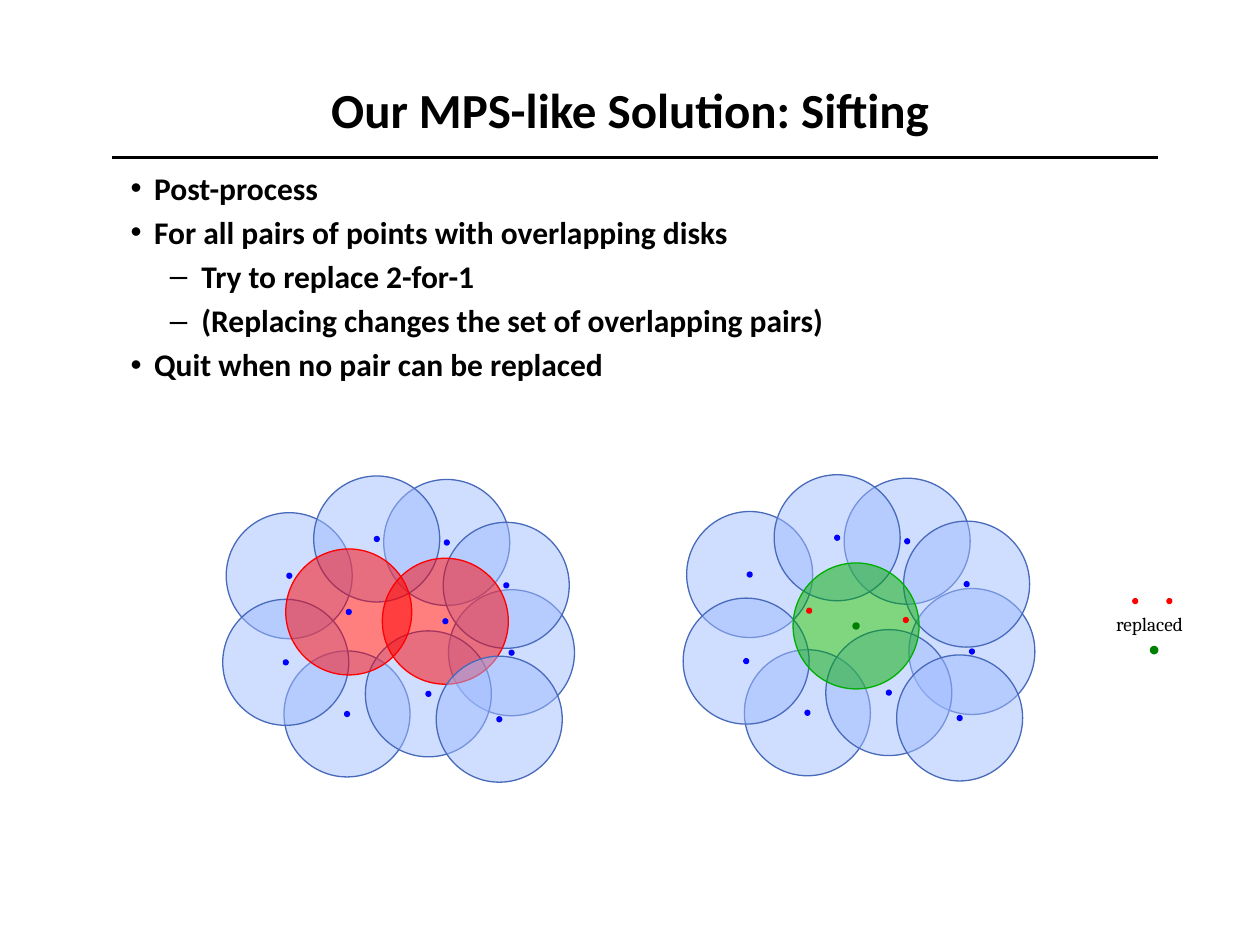
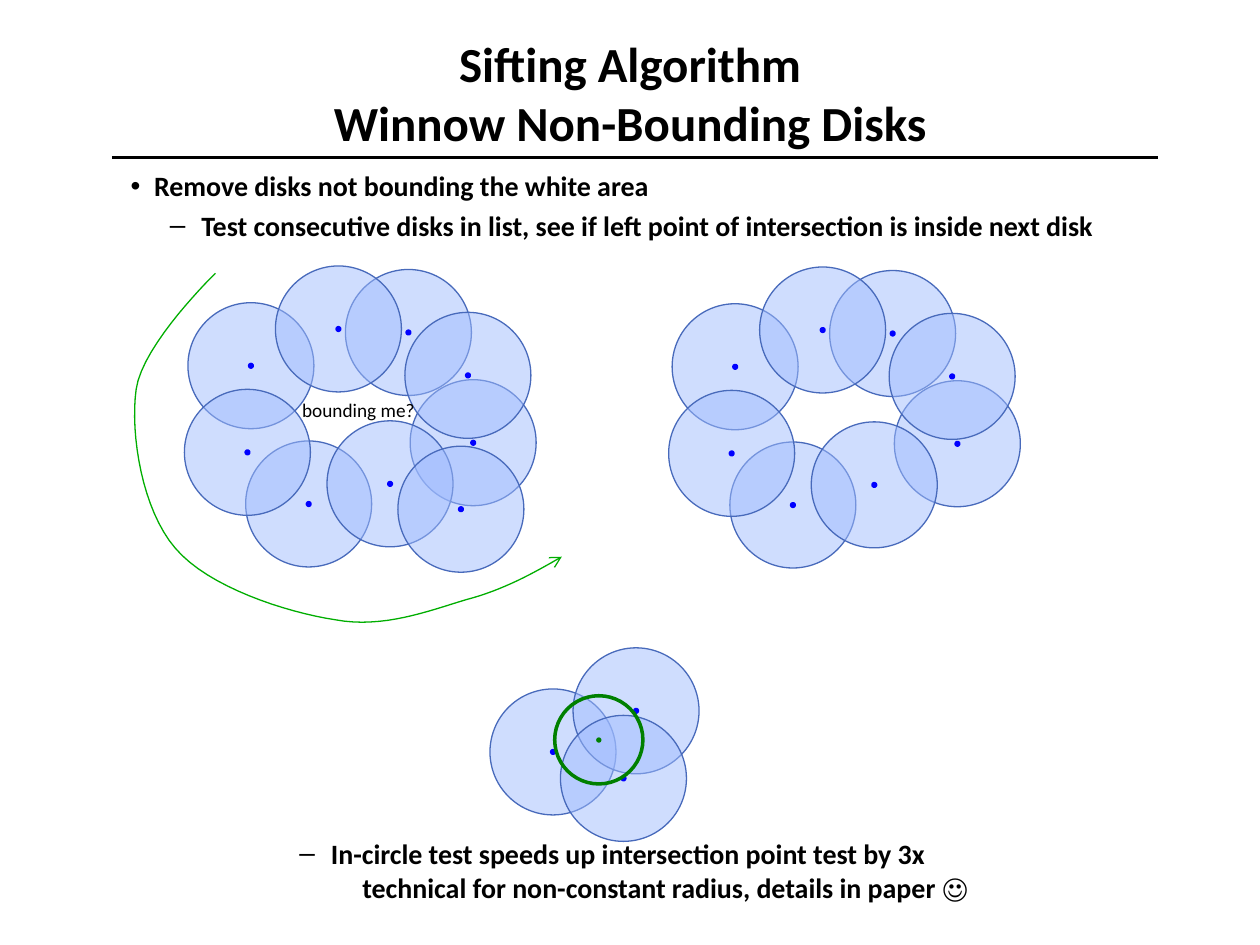
from dataclasses import dataclass
from typing import NamedTuple

from lxml.etree import SubElement
from pptx import Presentation
from pptx.dml.color import RGBColor
from pptx.enum.shapes import MSO_CONNECTOR, MSO_SHAPE
from pptx.enum.text import MSO_ANCHOR, MSO_AUTO_SIZE, PP_ALIGN
from pptx.oxml.ns import qn
from pptx.util import Pt


@dataclass(frozen=True)
class Theme:
    ink: str = "000000"
    disk: str = "A0BCFE"
    disk_edge: str = "486ABB"
    point: str = "0000FF"
    removed: str = "FF0000"
    added: str = "00AE00"
    added_point: str = "008000"
    heading_font: str = "Calibri"
    legend_font: str = "Cambria"
    title_size: float = 28
    label_size: float = 11


class Spot(NamedTuple):
    x: float
    y: float

    def shift(self, dx: float, dy: float) -> "Spot":
        return Spot(self.x + dx, self.y + dy)


class Box(NamedTuple):
    left: float
    top: float
    width: float
    height: float

    def lengths(self) -> list[Pt]:
        return [Pt(side) for side in self]


class Bullet(NamedTuple):
    text: str
    level: int = 0


class BulletStyle(NamedTuple):
    mark: str
    margin: float
    hanging: float


@dataclass(frozen=True)
class Disk:
    corner: Spot
    fill: str = "A0BCFE"
    edge: str = "486ABB"
    point: str = "0000FF"
    point_size: float = 1.5


THEME = Theme()
DIAMETER = 72
RADIUS = DIAMETER / 2
BULLET_STYLES = [BulletStyle("•", 27, 13.5), BulletStyle("–", 54, 18)]
RING = [Spot(35, 100), Spot(92, 2), Spot(2, 21), Spot(0, 70.5), Spot(129, 65),
        Spot(126, 26.5), Spot(52, 0), Spot(81.5, 88.5)]
NON_BOUNDING = Spot(122, 103)
OVERLAPPING_PAIR = [Spot(36, 41.7), Spot(91.2, 47)]
REPLACEMENT = Spot(62.8, 50.4)
SWEEP_START = Spot(321, 318.2)
SWEEP_CURVES = [
    (Spot(304.6, 327.6), Spot(288, 337), Spot(266.4, 342.7)),
    (Spot(244.8, 349.2), Spot(218.9, 359.3), Spot(191.5, 354.2)),
    (Spot(163.4, 349.9), Spot(118.8, 335.5), Spot(100.1, 313.2)),
    (Spot(81.4, 291.6), Spot(74.2, 248.4), Spot(77.8, 222.5)),
    (Spot(81.4, 196.6), Spot(123.1, 156.2), Spot(123.1, 156.2)),
]


def rgb(code: str) -> RGBColor:
    return RGBColor.from_string(code)


def set_font(paragraph, size: float, bold: bool = False,
             family: str = THEME.heading_font) -> None:
    font = paragraph.font
    font.name, font.size, font.bold = family, Pt(size), bold
    font.color.rgb = rgb(THEME.ink)


def draw_circle(shapes, center: Spot, diameter: float, edge: str, weight: float,
                fill: str | None = None, opacity: int = 100,
                preset=MSO_SHAPE.OVAL) -> None:
    corner = center.shift(-diameter / 2, -diameter / 2)
    circle = shapes.add_shape(preset, *Box(*corner, diameter, diameter).lengths())
    circle.shadow.inherit = False
    circle.line.color.rgb = rgb(edge)
    circle.line.width = Pt(weight)
    if fill is None:
        circle.fill.background()
        return
    circle.fill.solid()
    circle.fill.fore_color.rgb = rgb(fill)
    if opacity < 100:
        color = circle.fill._xPr.find(qn("a:solidFill")).find(qn("a:srgbClr"))
        SubElement(color, qn("a:alpha")).set("val", str(opacity * 1000))


def draw_point(shapes, center: Spot, color: str, size: float = 1.5) -> None:
    draw_circle(shapes, center, size, color, 2, color)


def draw_disk(shapes, disk: Disk, origin: Spot) -> None:
    center = disk.corner.shift(*origin).shift(RADIUS, RADIUS)
    draw_circle(shapes, center, DIAMETER, disk.edge, 0, disk.fill, 50,
                MSO_SHAPE.FLOWCHART_CONNECTOR)
    draw_point(shapes, center, disk.point, disk.point_size)


def draw_cluster(slide, origin: Spot, disks: list[Disk]):
    shapes = slide.shapes.add_group_shape().shapes
    for disk in disks:
        draw_disk(shapes, disk, origin)
    return shapes


def add_titled_slide(deck, title: str, box: Box):
    slide = deck.slides.add_slide(deck.slide_layouts[5])
    heading = slide.shapes.title
    heading.left, heading.top, heading.width, heading.height = box.lengths()
    frame = heading.text_frame
    frame.text = title
    frame.auto_size = MSO_AUTO_SIZE.NONE
    frame.vertical_anchor = MSO_ANCHOR.MIDDLE
    frame.paragraphs[0].alignment = PP_ALIGN.CENTER
    set_font(frame.paragraphs[0], THEME.title_size, True)
    rule = slide.shapes.add_connector(MSO_CONNECTOR.STRAIGHT, *Box(64, 90, 661.5, 90).lengths())
    rule.line.color.rgb = rgb(THEME.ink)
    rule.line.width = Pt(2)
    SubElement(rule._element.spPr, qn("a:effectLst"))
    return slide


def add_bullets(slide, box: Box, bullets: list[Bullet], size: float) -> None:
    frame = slide.shapes.add_textbox(*box.lengths()).text_frame
    frame.word_wrap = True
    for index, bullet in enumerate(bullets):
        paragraph = frame.paragraphs[0] if index == 0 else frame.add_paragraph()
        paragraph.text = bullet.text
        paragraph.level = bullet.level
        style = BULLET_STYLES[bullet.level]
        properties = paragraph._p.get_or_add_pPr()
        properties.set("marL", str(Pt(style.margin)))
        properties.set("indent", str(-Pt(style.hanging)))
        properties.set("defTabSz", str(Pt(72)))
        if index:
            paragraph.space_before = Pt(0.2 * size)
        SubElement(properties, qn("a:buFont")).set("typeface", "Arial")
        SubElement(properties, qn("a:buChar")).set("char", style.mark)
        set_font(paragraph, size, True)


def add_label(shapes, box: Box, text: str, family: str, wrap: bool, margin: float = 0) -> None:
    frame = shapes.add_textbox(*box.lengths()).text_frame
    frame.word_wrap = wrap
    paragraph = frame.paragraphs[0]
    paragraph.text = text
    paragraph._p.get_or_add_pPr().set("marL", str(Pt(margin)))
    set_font(paragraph, THEME.label_size, family=family)


def bezier(start: Spot, first: Spot, second: Spot, end: Spot, t: float) -> Spot:
    weights = ((1 - t) ** 3, 3 * t * (1 - t) ** 2, 3 * t ** 2 * (1 - t), t ** 3)
    knots = (start, first, second, end)
    return Spot(sum(w * k.x for w, k in zip(weights, knots)),
                sum(w * k.y for w, k in zip(weights, knots)))


def draw_sweep_arrow(slide, steps: int = 16) -> None:
    trail, start = [], SWEEP_START
    for first, second, end in SWEEP_CURVES:
        trail += [bezier(start, first, second, end, i / steps) for i in range(1, steps + 1)]
        start = end
    builder = slide.shapes.build_freeform(Pt(SWEEP_START.x), Pt(SWEEP_START.y))
    builder.add_line_segments([(Pt(spot.x), Pt(spot.y)) for spot in trail], close=False)
    sweep = builder.convert_to_shape()
    sweep.shadow.inherit = False
    sweep.fill.background()
    sweep.line.color.rgb = rgb(THEME.added)
    sweep.line.width = Pt(0.75)
    SubElement(sweep.line._get_or_add_ln(), qn("a:headEnd")).set("type", "arrow")


def build_sifting(deck) -> None:
    slide = add_titled_slide(deck, "Our MPS-like Solution: Sifting", Box(54, 22.3, 612, 80))
    add_bullets(slide, Box(54, 93, 612, 136), [
        Bullet("Post-process"),
        Bullet("For all pairs of points with overlapping disks"),
        Bullet("Try to replace 2-for-1", 1),
        Bullet("(Replacing changes the set of overlapping pairs)", 1),
        Bullet("Quit when no pair can be replaced"),
    ], 18)

    legend = slide.shapes.add_group_shape().shapes
    draw_point(legend, Spot(659.5, 371.5), THEME.added_point, 2.9)
    for x in (648.7, 668.2):
        draw_point(legend, Spot(x, 343.5), THEME.removed)
    add_label(legend, Box(630.7, 346.3, 52.6, 20.9), "replaced", THEME.legend_font, False)

    ring = [Disk(corner) for corner in RING]
    last = Disk(NON_BOUNDING)
    pair = [Disk(corner, THEME.removed, THEME.removed) for corner in OVERLAPPING_PAIR]
    draw_cluster(slide, Spot(127.3, 272), ring + pair + [last])

    origin = Spot(390.4, 271.3)
    replacement = Disk(REPLACEMENT, THEME.added, THEME.added, THEME.added_point, 2.2)
    after = draw_cluster(slide, origin, ring + [replacement])
    for corner in OVERLAPPING_PAIR:
        draw_point(after, corner.shift(*origin).shift(RADIUS, RADIUS), THEME.removed)
    draw_disk(after, last, origin)


def build_winnowing(deck) -> None:
    slide = add_titled_slide(deck, "Sifting Algorithm\vWinnow Non-Bounding Disks",
                             Box(54, 4.3, 612, 97.2))
    add_bullets(slide, Box(54, 93, 612, 57.6), [
        Bullet("Remove disks not bounding the white area"),
        Bullet("Test consecutive disks in list, see if left point of intersection "
               "is inside next disk", 1),
    ], 16)

    ring = [Disk(corner) for corner in RING]
    draw_cluster(slide, Spot(105.4, 152), ring + [Disk(NON_BOUNDING)])
    draw_cluster(slide, Spot(382.1, 152.6), ring)
    add_label(slide.shapes, Box(152, 224, 101, 46), "bounding me?",
              THEME.heading_font, True, 13.5)

    in_circle = draw_cluster(slide, Spot(280, 370.2), [
        Disk(Spot(0, 23.5)), Disk(Spot(47.5, 0)), Disk(Spot(40.3, 38.6))])
    draw_point(in_circle, Spot(342.2, 422.9), THEME.added_point, 1)
    draw_circle(in_circle, Spot(342.2, 422.8), 50.4, THEME.added_point, 2,
                preset=MSO_SHAPE.FLOWCHART_CONNECTOR)

    add_bullets(slide, Box(128, 474.5, 612, 57.6), [
        Bullet("In-circle test speeds up intersection point test by 3x"
               "\v\ttechnical for non-constant radius, details in paper ☺", 1)], 16)
    draw_sweep_arrow(slide)


def main() -> None:
    deck = Presentation()
    deck.slide_width, deck.slide_height = Pt(720), Pt(540)
    build_sifting(deck)
    build_winnowing(deck)
    deck.save("out.pptx")


if __name__ == "__main__":
    main()
